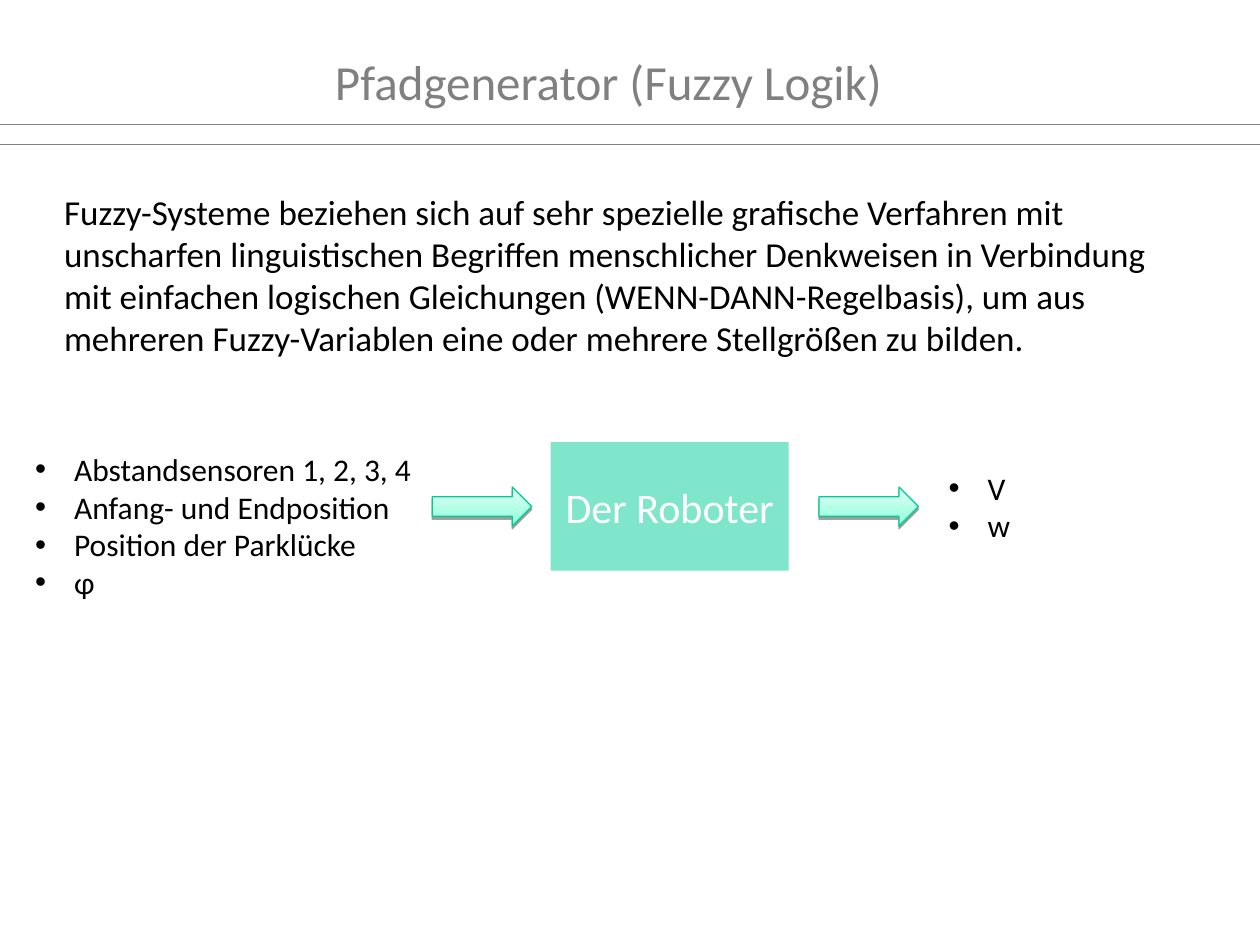
from lxml import etree
from pptx import Presentation
from pptx.dml.color import RGBColor
from pptx.enum.shapes import MSO_CONNECTOR, MSO_SHAPE
from pptx.enum.text import MSO_ANCHOR, PP_ALIGN
from pptx.oxml.ns import qn
from pptx.util import Inches, Pt

RECTANGLE, RIGHT_ARROW = MSO_SHAPE.RECTANGLE, MSO_SHAPE.RIGHT_ARROW
STRAIGHT = MSO_CONNECTOR.STRAIGHT
LEFT, CENTER = PP_ALIGN.LEFT, PP_ALIGN.CENTER
TOP, MIDDLE = MSO_ANCHOR.TOP, MSO_ANCHOR.MIDDLE

GRAY = RGBColor(0x80, 0x80, 0x80)
BLACK = RGBColor(0, 0, 0)
WHITE = RGBColor(0xFF, 0xFF, 0xFF)
GREEN = RGBColor(0x00, 0xCC, 0x99)
ARROW_EDGE = RGBColor(0x00, 0xCC, 0x98)
ARROW_SHADES = (RGBColor(0x90, 0xFF, 0xDA), RGBColor(0xE0, 0xFF, 0xF4))

FONT = "Calibri"
WIDTH, HEIGHT = 10, 7.5
FLOW_AXIS = 4.02
HANGING = 0.31

TITLE = "Pfadgenerator (Fuzzy Logik)"
DEFINITION = (
    "Fuzzy-Systeme beziehen sich auf sehr spezielle grafische Verfahren mit "
    "unscharfen linguistischen Begriffen menschlicher Denkweisen in Verbindung "
    "mit einfachen logischen Gleichungen (WENN-DANN-Regelbasis), um aus "
    "mehreren Fuzzy-Variablen eine oder mehrere Stellgrößen zu bilden."
)
ROBOT = "Der Roboter"
INPUTS = ["Abstandsensoren 1, 2, 3, 4", "Anfang- und Endposition",
          "Position der Parklücke", "ɸ"]
OUTPUTS = ["V", "w"]
RULE_HEIGHTS = (0.99, 1.15)
ROBOT_LEFT, ROBOT_SIZE = 4.37, (1.89, 1.02)
ARROW_LEFTS, ARROW_SIZE = (3.43, 6.5), (0.79, 0.31)


def write(shape, lines, size, color=BLACK, align=LEFT, anchor=TOP, indent=None, level=0):
    frame = shape.text_frame
    frame.word_wrap = True
    frame.vertical_anchor = anchor
    for number, line in enumerate(lines):
        paragraph = frame.add_paragraph() if number else frame.paragraphs[0]
        paragraph.alignment = align
        paragraph.level = level
        if indent is not None:
            properties = paragraph._p.get_or_add_pPr()
            properties.set("marL", str(Inches(indent)))
            properties.set("indent", str(-Inches(HANGING)))
            etree.SubElement(properties, qn("a:buFont"), typeface="Arial")
            etree.SubElement(properties, qn("a:buChar"), char="•")
        run = paragraph.add_run()
        run.text = line
        run.font.name = FONT
        run.font.size = Pt(size)
        run.font.color.rgb = color


def add_text(slide, box, lines, size, **text_format):
    write(slide.shapes.add_textbox(*map(Inches, box)), lines, size, **text_format)


def add_on_axis(slide, preset, left, size):
    width, height = size
    box = (left, FLOW_AXIS - height / 2, width, height)
    shape = slide.shapes.add_shape(preset, *map(Inches, box))
    shape.shadow.inherit = False
    return shape


def set_alpha(color_element, percent):
    etree.SubElement(color_element, qn("a:alpha"), val=str(percent * 1000))


def add_rule(slide, height):
    rule = slide.shapes.add_connector(
        STRAIGHT, 0, Inches(height), Inches(WIDTH), Inches(height))
    rule.line.color.rgb = GRAY
    rule.line.width = Pt(0.5)
    etree.SubElement(rule._element.spPr, qn("a:effectLst"))


def add_robot(slide):
    robot = add_on_axis(slide, RECTANGLE, ROBOT_LEFT, ROBOT_SIZE)
    robot.fill.solid()
    robot.fill.fore_color.rgb = GREEN
    set_alpha(robot._element.spPr.find(".//" + qn("a:srgbClr")), 50)
    robot.line.fill.background()
    write(robot, [ROBOT], 24, color=WHITE, align=CENTER, anchor=MIDDLE)


def add_arrow(slide, left):
    arrow = add_on_axis(slide, RIGHT_ARROW, left, ARROW_SIZE)
    arrow.fill.gradient()
    arrow.fill.gradient_angle = 90
    for stop, shade in zip(arrow.fill.gradient_stops, ARROW_SHADES):
        stop.color.rgb = shade
    arrow.line.color.rgb = ARROW_EDGE
    arrow.line.width = Pt(0.75)
    effects = arrow._element.spPr.find(qn("a:effectLst"))
    shadow = etree.SubElement(effects, qn("a:outerShdw"), blurRad="0",
                              dist=str(Pt(1.6)), dir="5400000", rotWithShape="0")
    set_alpha(etree.SubElement(shadow, qn("a:srgbClr"), val=str(BLACK)), 38)


def main():
    deck = Presentation()
    deck.slide_width, deck.slide_height = Inches(WIDTH), Inches(HEIGHT)
    slide = deck.slides.add_slide(deck.slide_layouts[6])
    for height in RULE_HEIGHTS:
        add_rule(slide, height)
    add_text(slide, (2.56, 0.36, 4.72, 0.57), [TITLE], 28, color=GRAY)
    add_robot(slide)
    add_text(slide, (-0.32, 3.52, 4.18, 1.61), INPUTS, 18, indent=0.81, level=1)
    add_text(slide, (0.41, 1.46, 9.19, 1.44), [DEFINITION], 20)
    for left in ARROW_LEFTS:
        add_arrow(slide, left)
    add_text(slide, (7.43, 3.67, 2.56, 1.01), OUTPUTS, 18, indent=HANGING)
    deck.save("out.pptx")


if __name__ == "__main__":
    main()
